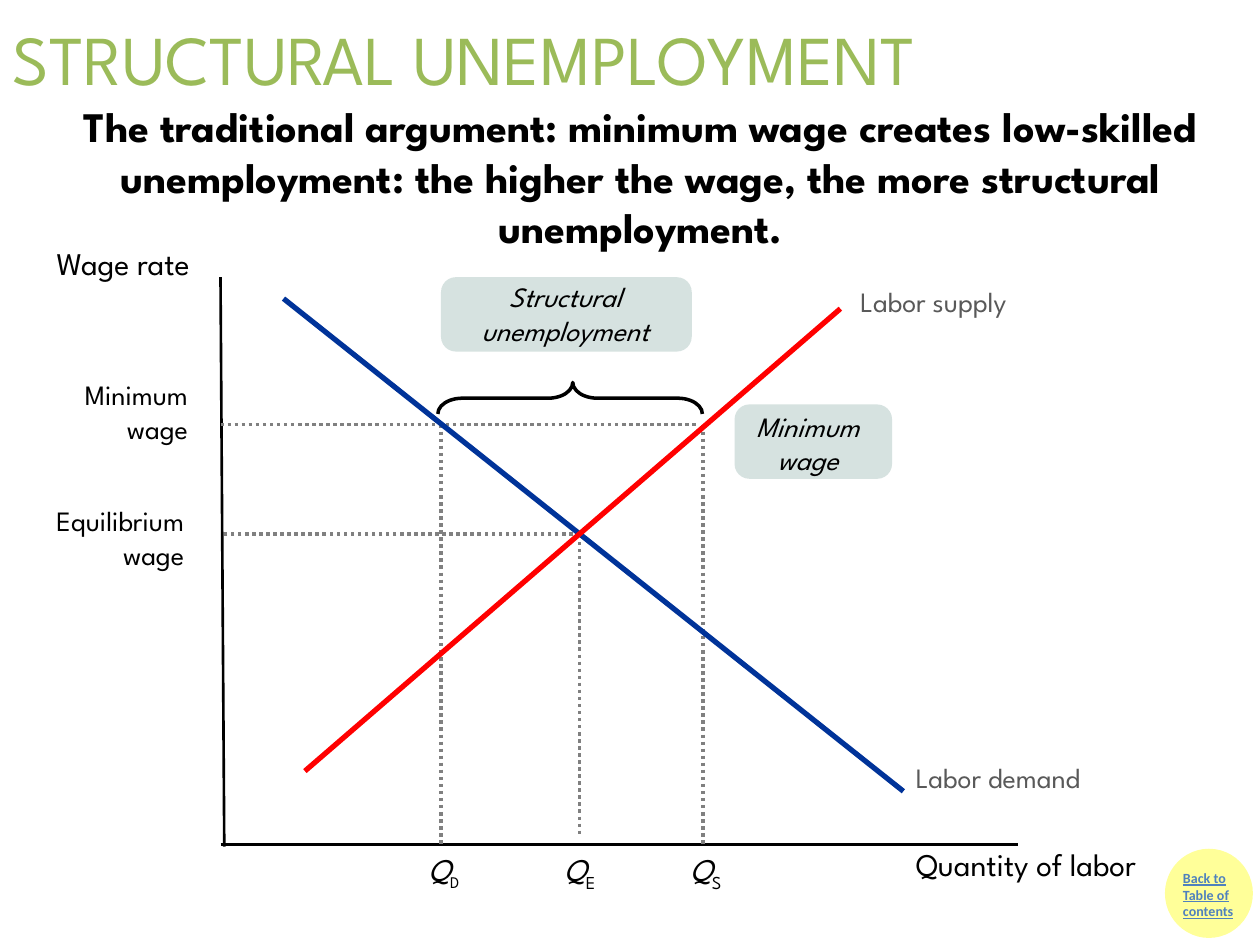
"""Build a labor market slide showing structural unemployment."""
from lxml import etree
from pptx import Presentation
from pptx import util as u
from pptx.dml.color import RGBColor
from pptx.enum import dml, shapes, text
from pptx.oxml.ns import qn

BLACK = RGBColor(0, 0, 0)
GRAY = RGBColor(0x80, 0x80, 0x80)
DARK = RGBColor(0x59, 0x59, 0x59)
GREEN = RGBColor(0x9B, 0xBB, 0x59)
BLUE = RGBColor(0x00, 0x33, 0x99)
RED = RGBColor(0xFF, 0, 0)
PALE = RGBColor(0xD6, 0xE2, 0xE0)
YELLOW = RGBColor(0xFF, 0xFF, 0x99)
LINK = RGBColor(0x4F, 0x81, 0xBD)
FONT = "League Spartan"
LEFT, MID, RIGHT = text.PP_ALIGN.LEFT, text.PP_ALIGN.CENTER, text.PP_ALIGN.RIGHT

TITLE = "STRUCTURAL UNEMPLOYMENT"
CLAIM = ("The traditional argument: minimum wage creates low-skilled unemployment: "
         "the higher the wage, the more structural unemployment.")
BACK = "Back to Table of contents"

AXIS, BASE = 1.75, 6.7
QD, QE, QS = 3.5, 4.6, 5.58
FLOOR, EVEN = 3.37, 4.24

AXES = [(AXIS, 2.2, 1.78, 6.72), (AXIS, BASE, 8.08, BASE)]
GUIDES = [(QE, EVEN, 1.78, EVEN), (QE, 4.3, QE, 6.63), (AXIS, FLOOR, 5.55, FLOOR),
          (QD, FLOOR, QD, BASE), (QS, FLOOR, QS, BASE)]
CURVES = [((2.25, 2.37, 7.17, 6.28), BLUE), ((2.42, 6.12, 6.67, 2.45), RED)]

LABELS = [
    (["Wage rate"], (0.35, 1.89, 1.51, 0.4), 18, BLACK, LEFT),
    (["Quantity of labor"], (7.17, 6.66, 2.17, 0.4), 18, BLACK, LEFT),
    (["Labor demand"], (7.17, 5.99, 1.84, 0.37), 16, DARK, LEFT),
    (["Labor supply"], (6.73, 2.21, 1.58, 0.37), 16, DARK, LEFT),
    (["Minimum", "wage"], (0.4, 2.95, 1.19, 0.64), 16, BLACK, RIGHT),
    (["Equilibrium", "wage"], (0.2, 3.95, 1.36, 0.64), 16, BLACK, RIGHT),
]
AMOUNTS = [("E", QE, 18), ("D", 3.52, 16), ("S", 5.6, 18)]
NOTES = [
    (["Structural", "unemployment"], (3.5, 2.2, 1.99, 0.59), (3.5, 2.17, 1.97, 0.64)),
    (["Minimum", "wage"], (5.83, 3.21, 1.25, 0.59), (5.82, 3.2, 1.18, 0.64)),
]


def place(box):
    return [u.Inches(v) for v in box]


def style(font, size, color, name=FONT):
    font.name, font.size, font.color.rgb = name, u.Pt(size), color


def write(slide, lines, box, size, color=BLACK, align=LEFT, name=FONT):
    frame = slide.shapes.add_textbox(*place(box)).text_frame
    frame.word_wrap = True
    frame.text = "\n".join(lines)
    for para in frame.paragraphs:
        para.alignment = align
        style(para.font, size, color, name)
    return frame


def fill(slide, kind, box, color):
    shape = slide.shapes.add_shape(kind, *place(box))
    shape.shadow.inherit = False
    shape.fill.solid()
    shape.fill.fore_color.rgb = color
    shape.line.fill.background()
    return shape


def draw(slide, ends, color, width, dash=None):
    line = slide.shapes.add_connector(shapes.MSO_CONNECTOR.STRAIGHT, *place(ends))
    line.line.color.rgb, line.line.width = color, u.Pt(width)
    if dash:
        line.line.dash_style = dash
    etree.SubElement(line._element.spPr, qn("a:effectLst"))


def head(slide):
    title, body = slide.placeholders
    for hold, words, box in ((title, TITLE, (0, 0, 10, 0.92)),
                             (body, CLAIM, (0.25, 0.75, 9.67, 5.33))):
        hold.left, hold.top, hold.width, hold.height = place(box)
        hold.text_frame.text = words
        hold.text_frame.auto_size = text.MSO_AUTO_SIZE.NONE
    para = title.text_frame.paragraphs[0]
    para.alignment = LEFT
    style(para.font, 40, GREEN)
    para = body.text_frame.paragraphs[0]
    props = para._p.get_or_add_pPr()
    props.set("marL", "0")
    props.set("indent", "0")
    etree.SubElement(props, qn("a:buNone"))
    para.alignment, para.space_before = MID, u.Pt(0)
    style(para.font, 24, BLACK)
    para.font.bold = True


def amount(slide, mark, x, size):
    para = write(slide, ["Q"], (x - 0.27, BASE, 0.54, 0.4), 18, align=MID).paragraphs[0]
    para.runs[0].font.italic = True
    sub = para.add_run()
    sub.text = mark
    sub.font.size = u.Pt(size)
    sub.font._element.set("baseline", "-25000")


def note(slide, lines, box, spot):
    fill(slide, shapes.MSO_SHAPE.ROUNDED_RECTANGLE, box, PALE).adjustments[0] = 0.2
    for para in write(slide, lines, spot, 16, align=MID).paragraphs:
        para.font.italic = True


def brace(slide):
    shape = slide.shapes.add_shape(shapes.MSO_SHAPE.RIGHT_BRACE, *place((4.4, 2.11, 0.25, 2.1)))
    shape.shadow.inherit = False
    shape.rotation = 270
    shape.adjustments[0], shape.adjustments[1] = 0.78, 0.51
    shape.fill.background()
    shape.line.color.rgb, shape.line.width = BLACK, u.Pt(2)


def main():
    deck = Presentation()
    deck.slide_width, deck.slide_height = u.Inches(10), u.Inches(7.5)
    slide = deck.slides.add_slide(deck.slide_layouts[1])
    head(slide)
    disc = fill(slide, shapes.MSO_SHAPE.OVAL, (9.26, 6.75, 0.67, 0.68), YELLOW)
    disc.line.color.rgb, disc.line.width = YELLOW, u.Pt(2)
    font = write(slide, [BACK], (9.29, 6.85, 0.72, 0.5), 8, LINK, name="Calibri").paragraphs[0].font
    font.bold = font.underline = True
    for ends in AXES:
        draw(slide, ends, BLACK, 1.5)
    for ends in GUIDES:
        draw(slide, ends, GRAY, 2, dml.MSO_LINE.ROUND_DOT)
    for label in LABELS:
        write(slide, *label)
    for item in AMOUNTS:
        amount(slide, *item)
    for item in NOTES:
        note(slide, *item)
    brace(slide)
    for ends, color in CURVES:
        draw(slide, ends, color, 3)
    deck.save("out.pptx")


if __name__ == "__main__":
    main()
